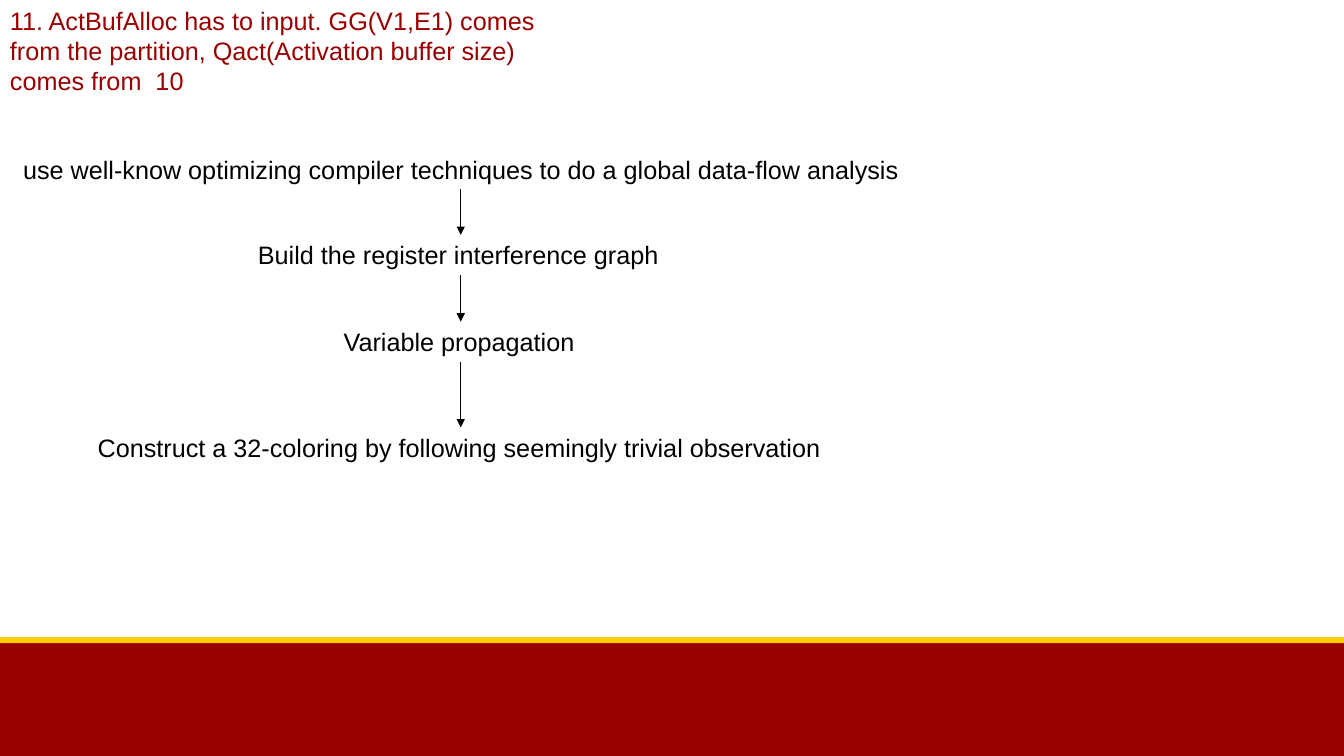
from lxml import etree
from pptx import Presentation
from pptx import util as u
from pptx.dml.color import RGBColor
from pptx.enum import shapes, text
from pptx.oxml import ns

PX = 9144
RED, GOLD, BLACK = "990000", "FFCC00", "000000"
STEPS = [
    (148, 888, "use well-know optimizing compiler techniques to do a global data-flow analysis"),
    (233, 422, "Build the register interference graph"),
    (319, 252, "Variable propagation"),
    (424, 740, "Construct a 32-coloring by following seemingly trivial observation"),
]


def px(*lengths):
    """Turn px lengths into EMU."""
    return [u.Emu(n * PX) for n in lengths]


def rgb(value):
    """Return the colour for a hex string."""
    return RGBColor.from_string(value)


def add_text(s, box, words, color, right=10):
    """Place one paragraph of text in the box."""
    sp = s.shapes.add_textbox(*px(*box))
    tf = sp.text_frame
    frame = {
        "word_wrap": True,
        "auto_size": text.MSO_AUTO_SIZE.SHAPE_TO_FIT_TEXT,
        "margin_right": u.Emu(right * PX),
    }
    for name, value in frame.items():
        setattr(tf, name, value)
    p = tf.paragraphs[0]
    p.alignment = text.PP_ALIGN.LEFT
    r = p.add_run()
    r.text = words
    for name, value in {"name": "Arial", "size": u.Pt(18)}.items():
        setattr(r.font, name, value)
    r.font.color.rgb = rgb(color)
    return sp


def add_arrow(s, upper, lower):
    """Join the bottom of one step to the top of the next."""
    line = s.shapes.add_connector(shapes.MSO_CONNECTOR.STRAIGHT, 0, 0, 0, 0)
    line.begin_connect(upper, 2)
    line.end_connect(lower, 0)
    line.line.width = u.Pt(0.75)
    line.line.color.rgb = rgb(BLACK)
    etree.SubElement(line.line._get_or_add_ln(), ns.qn("a:tailEnd"), type="triangle")
    etree.SubElement(line._element.spPr, ns.qn("a:effectLst"))


def footer(s, x, y, w, h):
    """Draw the red band with its gold edge."""
    for top, height, color in ((y, h, RED), (y - 3, 6, GOLD)):
        sp = s.shapes.add_shape(shapes.MSO_SHAPE.RECTANGLE, *px(x, top, w, height))
        sp.shadow.inherit = False
        sp.fill.solid()
        sp.fill.fore_color.rgb = rgb(color)
        sp.line.fill.background()


def heading(s, x, y, w, h):
    """Write the numbered heading."""
    words = ("11. ActBufAlloc has to input. GG(V1,E1) comes from the partition, "
             "Qact(Activation buffer size) comes from  10")
    add_text(s, (x, y, w, h), words, RED)


def flow(s, x, y, w, h):
    """Stack the steps on the centre line of the box and join them."""
    first = STEPS[0][0]
    boxes = [
        add_text(s, (x + (w - width) // 2, y + top - first, width, 40), words, BLACK, 0)
        for top, width, words in STEPS
    ]
    for upper, lower in zip(boxes, boxes[1:]):
        add_arrow(s, upper, lower)


def main():
    """Build the slide and save it."""
    prs = Presentation()
    prs.slide_width, prs.slide_height = px(1333, 750)
    s = prs.slides.add_slide(prs.slide_layouts[6])
    footer(s, 0, 635, 1333, 115)
    heading(s, 0, 0, 559, 101)
    flow(s, 13, 148, 888, 316)
    prs.save("out.pptx")


if __name__ == "__main__":
    main()
